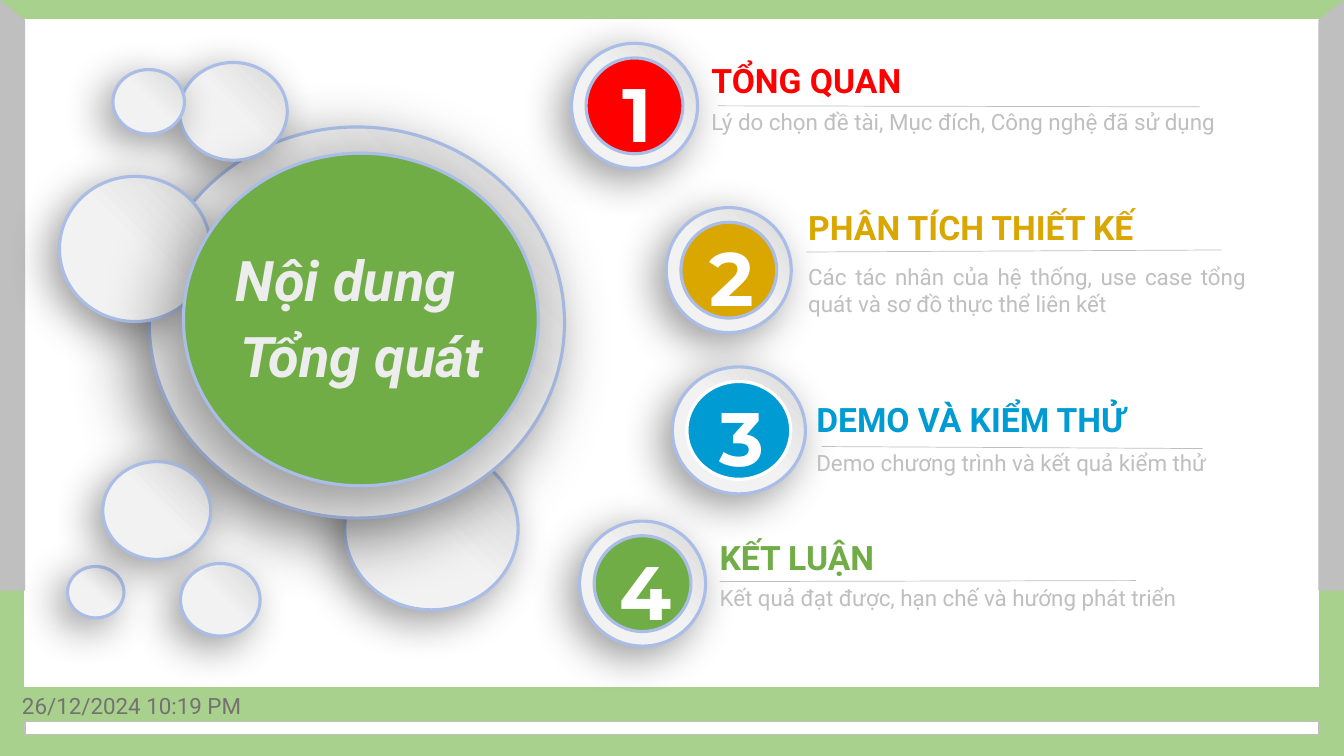
from collections import namedtuple
from lxml.etree import SubElement as Sub
from pptx import Presentation
from pptx.dml.color import RGBColor
from pptx.enum.shapes import MSO_CONNECTOR as Link, MSO_SHAPE as Shape
from pptx.enum.text import MSO_ANCHOR as Anchor, MSO_AUTO_SIZE as Fit, PP_ALIGN as Align
from pptx.oxml.ns import qn
from pptx.util import Inches, Pt

WHITE = RGBColor(0xFF, 0xFF, 0xFF)
PALE = RGBColor(0xF2, 0xF2, 0xF2)
MIST = RGBColor(0xD9, 0xD9, 0xD9)
SILVER = RGBColor(0xBF, 0xBF, 0xBF)
CREAM = RGBColor(0xED, 0xED, 0xED)
SLATE = RGBColor(0x76, 0x71, 0x71)
RIM = RGBColor(0xA9, 0xBD, 0xE6)
LIME = RGBColor(0xA9, 0xD1, 0x8E)
GREEN = RGBColor(0x70, 0xAD, 0x47)
RED = RGBColor(0xFF, 0x00, 0x00)
GOLD = RGBColor(0xDA, 0xA6, 0x00)
BLUE = RGBColor(0x00, 0x9B, 0xD2)

COLS, ROWS = 133.33, 75
CELL = Inches(0.1)

Item = namedtuple("Item", "color rim disc left head rule note align title detail")

ITEMS = [
    Item(RED, RIM, (56.7, 4.3, 12.5, 12.4), 69.6, 5.5, (71.2, 10.5, 119, 10.6), 10.2,
         Align.LEFT, "TỔNG QUAN", "Lý do chọn đề tài, Mục đích, Công nghệ đã sử dụng"),
    Item(GOLD, RIM, (66.1, 20.6, 12.4, 12.4), 79.2, 20, (80, 25, 121.2, 24.8), 25.6,
         Align.JUSTIFY, "PHÂN TÍCH THIẾT KẾ",
         "Các tác nhân của hệ thống, use case tổng quát và sơ đồ thực thể liên kết"),
    Item(BLUE, WHITE, (66.7, 36.4, 13.2, 12.6), 80, 39.1, (81.5, 44.3, 119.3, 44.5), 44.1,
         Align.LEFT, "DEMO VÀ KIỂM THỬ", "Demo chương trình và kết quả kiểm thử"),
    Item(GREEN, RIM, (57.5, 51.7, 12.5, 12.4), 70.4, 52.8, (71.4, 57.7, 112.7, 57.6), 57.5,
         Align.LEFT, "KẾT LUẬN", "Kết quả đạt được, hạn chế và hướng phát triển"),
]

HALO = (14.8, 12.6, 41.2, 38.8)
CORE = (18.2, 15.2, 35.2, 33)
BUBBLES = [
    (34.2, 44.4, 17.2, 16.1), HALO, (5.9, 17.5, 15, 14.4),
    (17.8, 6.2, 10.7, 9.7), (11.2, 6.9, 7.1, 6.4), (6.7, 56.2, 5.6, 5.1),
    (10.2, 45.8, 10.7, 9.7), (17.9, 55.9, 7.9, 7.2),
]


def grid(*cells):
    return [round(n * CELL) for n in cells]


def paint(shape, fill, line=None, width=1):
    shape.shadow.inherit = False
    if fill:
        shape.fill.solid()
        shape.fill.fore_color.rgb = fill
    else:
        shape.fill.gradient()
        shape.fill.gradient_angle = 45
        for stop, color, place in zip(shape.fill.gradient_stops, (PALE, MIST), (0.5, 1)):
            stop.color.rgb = color
            stop.position = place
    if line:
        shape.line.color.rgb = line
        shape.line.width = Pt(width)
    else:
        shape.line.fill.background()


def panel(shapes, box, fill, line=None):
    paint(shapes.add_shape(Shape.RECTANGLE, *grid(*box)), fill, line)


def side(shapes, outer, inner):
    points = [grid(*p) for p in ((outer, 0), (inner, 2), (inner, 58.6), (outer, 58.6))]
    path = shapes.build_freeform(*points[0], scale=1.0)
    path.add_line_segments(points[1:], close=True)
    paint(path.convert_to_shape(), SILVER)


def shade(shape, blur, gap):
    effects = shape._element.spPr.find(qn("a:effectLst"))
    cast = Sub(effects, qn("a:outerShdw"), blurRad=str(Pt(blur)), dist=str(Pt(gap)),
               dir="8100000", algn="tr", rotWithShape="0")
    tint = Sub(cast, qn("a:srgbClr"), val="000000")
    Sub(tint, qn("a:alpha"), val="40000")


def disc(shapes, box, fill=None, rim=RIM, cast=(30, 10)):
    shape = shapes.add_shape(Shape.OVAL, *grid(*box))
    paint(shape, fill, rim, 2.25)
    if cast:
        shade(shape, *cast)


def write(shape, text, size, color, face="Roboto", align=Align.LEFT,
          bold=False, italic=False, anchor=Anchor.TOP):
    frame = shape.text_frame
    frame.text = text
    frame.word_wrap = True
    frame.auto_size = Fit.NONE
    frame.vertical_anchor = anchor
    para = frame.paragraphs[0]
    para.alignment = align
    para.line_spacing = 1.0
    font = para.runs[0].font
    font.name, font.size, font.bold, font.italic = face, Pt(size), bold, italic
    font.color.rgb = color


def label(shapes, box, *words, **style):
    write(shapes.add_textbox(*grid(*box)), *words, **style)


def rule(shapes, ends):
    line = shapes.add_connector(Link.STRAIGHT, *grid(*ends))
    line.line.color.rgb = SILVER
    line.line.width = Pt(0.5)
    Sub(line._element.spPr, qn("a:effectLst"))


def badge(shapes, number, item):
    group = shapes.add_group_shape().shapes
    x, y, w, h = item.disc
    disc(group, item.disc)
    disc(group, (x + 1.45, y + 1.45, w - 2.9, h - 2.9), item.color, item.rim, None)
    label(group, (x + 0.3, y + 1.85, w, 8.8), str(number), 54, WHITE,
          face="Montserrat", align=Align.CENTER, bold=True)


def entry(shapes, number, item):
    badge(shapes, number, item)
    label(shapes, (item.left, item.head, 50, 5), item.title, 24, item.color, bold=True)
    rule(shapes, item.rule)
    label(shapes, (item.left, item.note, 45.4 if item.align == Align.JUSTIFY else 52, 6.4),
          item.detail, 16, SILVER, align=item.align)


def frame(shapes):
    panel(shapes, (0, 0, COLS, ROWS), LIME)
    panel(shapes, (2.5, 2, 128.3, 66.1), WHITE, WHITE)
    panel(shapes, (2.5, 71.6, 128.3, 1.3), WHITE, SILVER)
    side(shapes, 0, 2.5)
    side(shapes, COLS, 130.8)


def heading(shapes):
    disc(shapes, CORE, GREEN, cast=(50, 18))
    style = dict(align=Align.CENTER, bold=True, italic=True)
    title = shapes.title
    title.left, title.top, title.width, title.height = grid(-5.2, 23.9, 79, 7.7)
    write(title, "Nội dung", 40, CREAM, **style)
    shapes._spTree.append(title._element)
    label(shapes, (-3.6, 31.4, 79, 7.7), "Tổng quát", 40, CREAM, **style)


def main():
    deck = Presentation()
    deck.slide_width, deck.slide_height = grid(COLS, ROWS)
    shapes = deck.slides.add_slide(deck.slide_layouts[5]).shapes
    frame(shapes)
    for box in BUBBLES:
        disc(shapes, box, cast=(50, 18) if box == HALO else (30, 10))
    for number, item in enumerate(ITEMS, 1):
        entry(shapes, number, item)
    heading(shapes)
    label(shapes, (1.2, 68, 30, 4), "26/12/2024 10:19 PM", 16, SLATE, anchor=Anchor.MIDDLE)
    deck.save("out.pptx")


if __name__ == "__main__":
    main()
